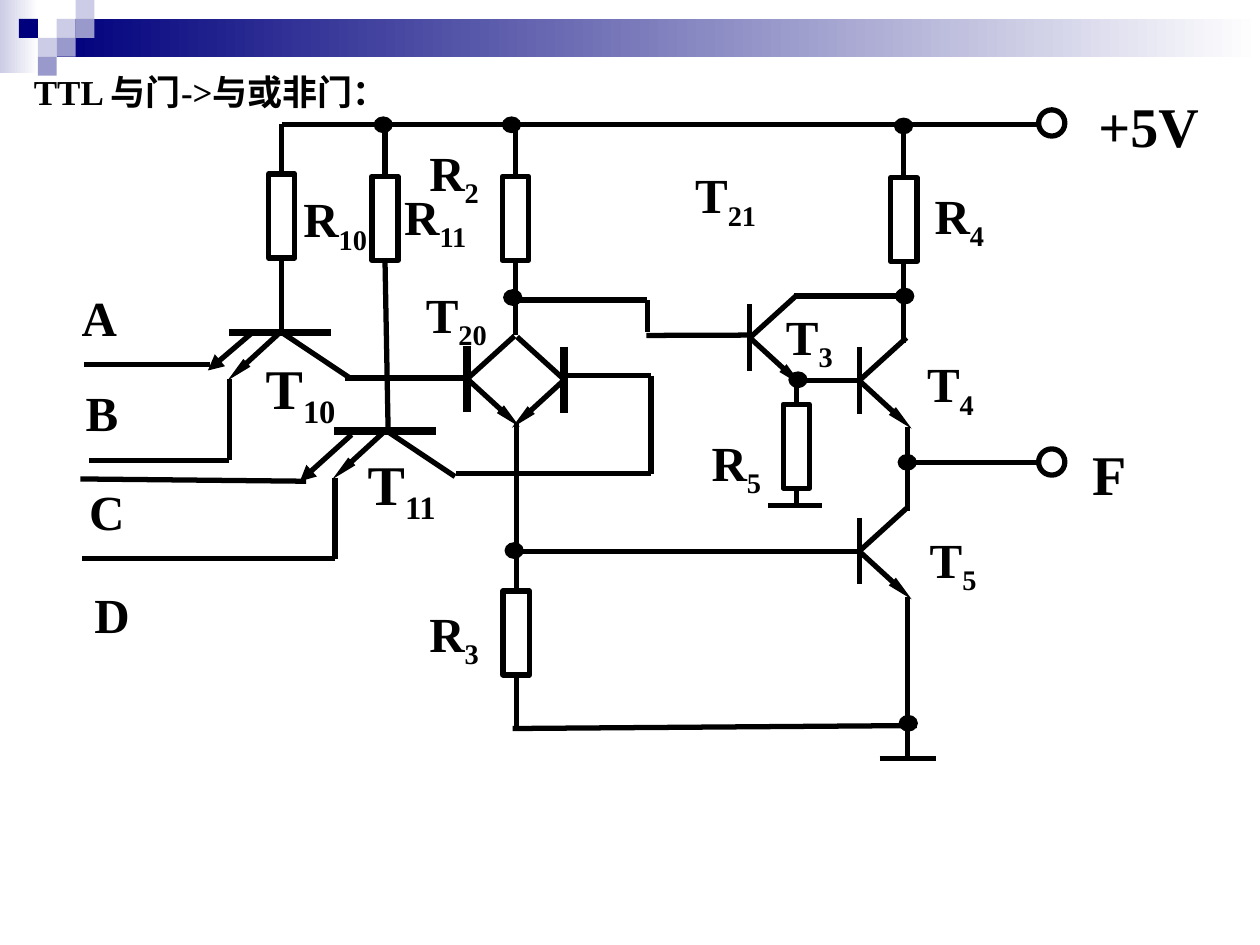
from dataclasses import dataclass
from itertools import pairwise

from lxml import etree
from pptx import Presentation
from pptx.dml.color import RGBColor
from pptx.enum.shapes import MSO_CONNECTOR, MSO_SHAPE
from pptx.enum.text import MSO_ANCHOR, MSO_AUTO_SIZE, PP_ALIGN
from pptx.oxml.ns import qn
from pptx.util import Pt

RECTANGLE = MSO_SHAPE.RECTANGLE
OVAL = MSO_SHAPE.OVAL
STRAIGHT = MSO_CONNECTOR.STRAIGHT
CENTER = PP_ALIGN.CENTER
MIDDLE = MSO_ANCHOR.MIDDLE
FIT_SHAPE = MSO_AUTO_SIZE.SHAPE_TO_FIT_TEXT
TOP_SIDE, BOTTOM_SIDE = 0, 2


@dataclass(frozen=True)
class Theme:
    ink: RGBColor = RGBColor(0, 0, 0)
    white: RGBColor = RGBColor(255, 255, 255)
    navy: RGBColor = RGBColor(0x00, 0x00, 0x7D)
    lavender: RGBColor = RGBColor(0xCC, 0xCC, 0xE6)
    violet: RGBColor = RGBColor(0x99, 0x99, 0xCC)
    font: str = "Times New Roman"
    title_size: int = 20
    label_size: int = 28
    large_size: int = 32
    wire: float = 3
    thick: float = 4.5


THEME = Theme()
TILE = 10.8
RESISTOR_WIDTH, RESISTOR_HEIGHT = 15, 48
NODE_WIDTH, NODE_HEIGHT = 10, 8.6
TERMINAL = 15

# Column, row, colour on the corner grid
TILES = [
    (3, 1, THEME.lavender), (4, 0, THEME.lavender), (4, 1, THEME.violet),
    (2, 2, THEME.lavender), (1, 1, THEME.navy), (3, 2, THEME.violet),
    (2, 3, THEME.violet),
]
# Centre x, top, start of upper lead, end point of lower lead
RESISTORS = [
    (161, 99.4, 71, (161, 190)),
    (220, 100.8, 71, (221.8, 246)),
    (294.5, 100.8, 71, (294.5, 191.5)),
    (516.5, 101.5, 71, (516.5, 196)),
    (455, 231, 217, (455, 289)),
    (295, 337.7, 242, (295, 418)),
]
# Base x, base y, direction, bar width
TRANSISTORS = [
    (267, 216.5, 1, THEME.thick), (322.5, 217, -1, THEME.thick),
    (428.5, 193, 1, THEME.wire), (491, 217.5, 1, THEME.wire),
    (491, 315, 1, THEME.wire),
]
# Base x, base y, start and tip of the outer emitter
INPUT_TRANSISTORS = [
    (160, 190, (143.3, 190.8), (118.8, 211.7)),
    (220, 246.3, (200.9, 248.4), (171.4, 275)),
]
WIRES = [
    [(161, 71.3), (594, 71.3)],
    [(197, 216), (267, 216)],
    [(294.5, 171.4), (370, 171.4), (370, 190)],
    [(369.4, 191.7), (428.4, 191.5)],
    [(453.6, 217.4), (491, 217.4)],
    [(453.6, 169.2), (516.5, 169.2)],
    [(439, 288.8), (469.5, 288.8)],
    [(490.5, 315.3), (297, 315.3)],
    [(293, 416.3), (524, 414.6)],
    [(518.4, 244), (518.4, 292.3)],
    [(518.4, 341.3), (518.4, 433.4)],
    [(502.6, 433.4), (535, 433.4)],
    [(518.4, 264.2), (594, 264.2)],
    [(131, 216.7), (131, 263), (51, 263)],
    [(120.3, 208.3), (48.2, 208.3)],
    [(191.5, 273), (191.5, 319.3), (46.8, 319.3)],
    [(46, 273.7), (175, 275)],
    [(322, 214.7), (372, 214.7), (372, 270.6), (260.6, 270.6)],
]
NODES = [
    (292.3, 71.3), (219, 71.3), (516.3, 72), (519, 413.3), (293.8, 314.6),
    (293, 170), (517, 169.2), (456, 217), (518.4, 264.2),
]
TERMINALS = [(601, 70.3), (601, 264)]
# Left, top, width, letter, subscript, size
LABELS = [
    (620.6, 49, 99.4, "+5V", "", THEME.large_size),
    (617, 247.7, 58, "F", "", THEME.large_size),
    (527, 102.2, 83, "R", "4", THEME.label_size),
    (166.3, 104.4, 83, "R", "10", THEME.label_size),
    (223.9, 103, 83, "R", "11", THEME.label_size),
    (238.3, 77.8, 83, "R", "2", THEME.label_size),
    (238.3, 341.3, 81, "R", "3", THEME.label_size),
    (399.6, 243.4, 50, "R", "5", THEME.label_size),
    (236.2, 159, 60, "T", "20", THEME.label_size),
    (390.2, 90.7, 72, "T", "21", THEME.label_size),
    (442, 171.4, 78, "T", "3", THEME.label_size),
    (522.7, 198.7, 53, "T", "4", THEME.label_size),
    (524.2, 298.8, 53, "T", "5", THEME.label_size),
    (144.7, 198.7, 57, "T", "10", THEME.large_size),
    (203, 253.4, 57, "T", "11", THEME.large_size),
    (39.6, 160.6, 55, "A", "", THEME.label_size),
    (41.8, 215.3, 55, "B", "", THEME.label_size),
    (43.9, 271.4, 55, "C", "", THEME.label_size),
    (46.8, 330.5, 55, "D", "", THEME.label_size),
]


def add_figure(slide, kind, left, top, width, height, fill=None, line_width=None):
    shape = slide.shapes.add_shape(kind, Pt(left), Pt(top), Pt(width), Pt(height))
    shape.shadow.inherit = False
    if fill is None:
        shape.fill.background()
    else:
        shape.fill.solid()
        shape.fill.fore_color.rgb = fill
    if line_width is None:
        shape.line.fill.background()
    else:
        shape.line.color.rgb = THEME.ink
        shape.line.width = Pt(line_width)
    return shape


def add_fade(slide, left, top, width, height, color):
    """Add a bar that fades from color to white, left to right."""
    bar = add_figure(slide, RECTANGLE, left, top, width, height)
    bar.fill.gradient()
    bar.fill.gradient_angle = 0
    for stop, stop_color in zip(bar.fill.gradient_stops, (color, THEME.white)):
        stop.color.rgb = stop_color


def add_line(slide, start, end, width=THEME.wire, arrow=None):
    """Add a line; arrow is the (width, length) of a head at its end."""
    line = slide.shapes.add_connector(STRAIGHT, *map(Pt, (*start, *end)))
    line.line.color.rgb = THEME.ink
    line.line.width = Pt(width)
    if arrow:
        etree.SubElement(line.line._get_or_add_ln(), qn("a:tailEnd"),
                         type="triangle", w=arrow[0], len=arrow[1])
    etree.SubElement(line._element.spPr, qn("a:effectLst"))
    return line


def add_resistor(slide, x, top, lead_top, lead_end):
    body = add_figure(slide, RECTANGLE, x - RESISTOR_WIDTH / 2, top,
                      RESISTOR_WIDTH, RESISTOR_HEIGHT, line_width=THEME.wire)
    upper = add_line(slide, (x, lead_top), (x, top))
    upper.end_connect(body, TOP_SIDE)
    lower = add_line(slide, (x, top + RESISTOR_HEIGHT), lead_end)
    lower.begin_connect(body, BOTTOM_SIDE)


def add_transistor(slide, x, y, direction, bar_width):
    add_line(slide, (x, y - 19), (x, y + 19), bar_width)
    add_line(slide, (x, y), (x + 30 * direction, y + 27.5), arrow=("sm", "lg"))
    add_line(slide, (x, y), (x + 27 * direction, y - 24.5))


def add_input_transistor(slide, x, y, outer_start, outer_tip):
    """Add a transistor with a level base bar and two emitters."""
    add_line(slide, (x - 29, y), (x + 29, y), THEME.thick)
    add_line(slide, (x, y), (x - 30, y + 27.5), arrow=("sm", "lg"))
    add_line(slide, (x + 1, y), (x + 40, y + 26))
    add_line(slide, outer_start, outer_tip, arrow=("med", "med"))


def add_text(slide, left, top, width, height, text, subscript, size):
    box = slide.shapes.add_textbox(Pt(left), Pt(top), Pt(width), Pt(height))
    frame = box.text_frame
    frame.word_wrap = True
    frame.auto_size = FIT_SHAPE
    paragraph = frame.paragraphs[0]
    paragraph.font.name = THEME.font
    paragraph.font.size = Pt(size)
    paragraph.font.bold = True
    paragraph.font.color.rgb = THEME.ink
    paragraph.add_run().text = text
    if subscript:
        run = paragraph.add_run()
        run.text = subscript
        run._r.get_or_add_rPr().set("baseline", "-25000")
    return frame


def add_label(slide, left, top, width, letter, subscript, size):
    frame = add_text(slide, left, top, width, size * 1.2 + 7.2, letter, subscript, size)
    spacing = etree.Element(qn("a:spcBef"))
    etree.SubElement(spacing, qn("a:spcPct"), val="50000")
    frame.paragraphs[0]._p.get_or_add_pPr().insert(0, spacing)


def add_title(slide):
    frame = add_text(slide, 12.2, 36.7, 216.7, 31.7, "TTL 与门->与或非门：", "",
                     THEME.title_size)
    frame.word_wrap = False
    frame.vertical_anchor = MIDDLE
    frame.paragraphs[0].alignment = CENTER


def add_corner_decoration(slide):
    add_fade(slide, 0, 0, 22, 42, THEME.lavender)
    add_fade(slide, 3 * TILE, TILE, 720 - 3 * TILE, 2 * TILE, THEME.navy)
    for column, row, color in TILES:
        add_figure(slide, RECTANGLE, column * TILE, row * TILE, TILE, TILE, color)


def main():
    presentation = Presentation()
    presentation.slide_width, presentation.slide_height = Pt(720), Pt(540)
    slide = presentation.slides.add_slide(presentation.slide_layouts[6])
    add_corner_decoration(slide)
    for resistor in RESISTORS:
        add_resistor(slide, *resistor)
    for transistor in TRANSISTORS:
        add_transistor(slide, *transistor)
    for transistor in INPUT_TRANSISTORS:
        add_input_transistor(slide, *transistor)
    for wire in WIRES:
        for start, end in pairwise(wire):
            add_line(slide, start, end)
    for x, y in NODES:
        add_figure(slide, OVAL, x - NODE_WIDTH / 2, y - NODE_HEIGHT / 2,
                   NODE_WIDTH, NODE_HEIGHT, THEME.ink, 1)
    for x, y in TERMINALS:
        add_figure(slide, OVAL, x - TERMINAL / 2, y - TERMINAL / 2,
                   TERMINAL, TERMINAL, line_width=THEME.wire)
    for label in LABELS:
        add_label(slide, *label)
    add_title(slide)
    presentation.save("out.pptx")


if __name__ == "__main__":
    main()
